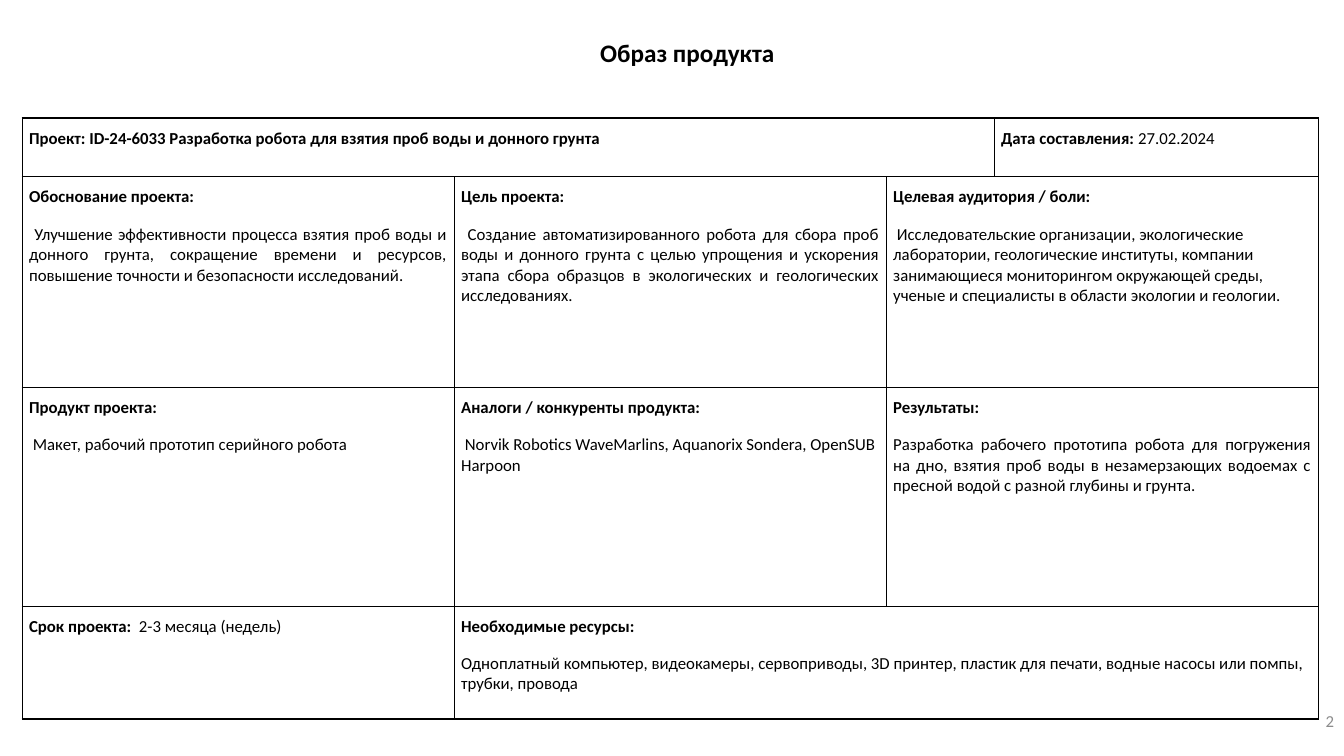
"""Build the product vision slide: a bordered project table with a title and page number."""
from lxml.etree import SubElement
from pptx import Presentation
from pptx.dml.color import RGBColor
from pptx.enum.text import MSO_ANCHOR, PP_ALIGN
from pptx.oxml.ns import qn
from pptx.util import Pt

BLACK = RGBColor(0x00, 0x00, 0x00)
GREY = RGBColor(0x8C, 0x8C, 0x8C)
FONT = "Calibri"
LEFT, JUSTIFY = PP_ALIGN.LEFT, PP_ALIGN.JUSTIFY

TITLE = "Образ продукта"
PAGE_NUMBER = "2"

# (row, first column, last column, heading, text after heading, body, body alignment)
SECTIONS = [
    (0, 0, 2, "Проект: ID-24-6033 Разработка робота для взятия проб воды и донного грунта", "", "", LEFT),
    (0, 3, 3, "Дата составления: ", "27.02.2024", "", LEFT),
    (1, 0, 0, "Обоснование проекта:", "",
     " Улучшение эффективности процесса взятия проб воды и донного грунта, "
     "сокращение времени и ресурсов, повышение точности и безопасности исследований.", JUSTIFY),
    (1, 1, 1, "Цель проекта:", "",
     " Создание автоматизированного робота для сбора проб воды и донного грунта "
     "с целью упрощения и ускорения этапа сбора образцов в экологических "
     "и геологических исследованиях.", JUSTIFY),
    (1, 2, 3, "Целевая аудитория / боли:", "",
     " Исследовательские организации, экологические лаборатории, геологические институты, "
     "компании занимающиеся мониторингом окружающей среды, ученые и специалисты "
     "в области экологии и геологии.", LEFT),
    (2, 0, 0, "Продукт проекта:", "", " Макет, рабочий прототип серийного робота", JUSTIFY),
    (2, 1, 1, "Аналоги / конкуренты продукта:", "",
     " Norvik Robotics WaveMarlins, Aquanorix Sondera, OpenSUB Harpoon", LEFT),
    (2, 2, 3, "Результаты:", "",
     "Разработка рабочего прототипа робота для погружения на дно, взятия проб воды "
     "в незамерзающих водоемах с пресной водой с разной глубины и грунта.", JUSTIFY),
    (3, 0, 0, "Срок проекта:  ", "2-3 месяца (недель)", "", LEFT),
    (3, 1, 3, "Необходимые ресурсы:", "",
     "Одноплатный компьютер, видеокамеры, сервоприводы, 3D принтер, пластик для печати, "
     "водные насосы или помпы, трубки, провода", LEFT),
]

TABLE_LEFT, TABLE_TOP, TABLE_WIDTH = 15.8, 84.3, 925.9
THIRD = TABLE_WIDTH / 3
COLUMN_WIDTHS = [THIRD, THIRD, THIRD / 4, THIRD * 3 / 4]
ROW_HEIGHTS = [42, 150.5, 156.2, 80.7]


def style(paragraph, size, color, bold=None, align=LEFT):
    paragraph.alignment = align
    paragraph.font.name = FONT
    paragraph.font.size = Pt(size)
    paragraph.font.color.rgb = color
    paragraph.font.bold = bold


def frame_cell(cell):
    cell.margin_left = cell.margin_right = Pt(5)
    cell.margin_top = cell.margin_bottom = Pt(7.2)
    properties = cell._tc.get_or_add_tcPr()
    for side in ("lnL", "lnR", "lnT", "lnB"):
        border = SubElement(properties, qn(f"a:{side}"), w=str(Pt(1)))
        fill = SubElement(border, qn("a:solidFill"))
        SubElement(fill, qn("a:srgbClr"), val=str(BLACK))
    cell.fill.background()


def write_section(cell, heading, detail, body, align):
    frame = cell.text_frame
    first = frame.paragraphs[0]
    style(first, 12, BLACK, None if detail else True)
    heading_run = first.add_run()
    heading_run.text = heading
    if detail:
        heading_run.font.bold = True
        detail_run = first.add_run()
        detail_run.text = detail
        detail_run.font.bold = False
    if body:
        second = frame.add_paragraph()
        second.text = body
        second.space_before = Pt(12)
        style(second, 12, BLACK, False, align)


def main():
    deck = Presentation()
    deck.slide_width, deck.slide_height = Pt(960), Pt(540)
    slide = deck.slides.add_slide(deck.slide_layouts[5])

    title = slide.shapes.title
    title.left, title.top, title.width, title.height = Pt(332), Pt(23), Pt(318), Pt(29)
    title.text_frame.text = TITLE
    title.text_frame.vertical_anchor = MSO_ANCHOR.TOP
    style(title.text_frame.paragraphs[0], 18, BLACK, True, PP_ALIGN.CENTER)

    table = slide.shapes.add_table(
        len(ROW_HEIGHTS), len(COLUMN_WIDTHS), Pt(TABLE_LEFT), Pt(TABLE_TOP),
        Pt(TABLE_WIDTH), Pt(sum(ROW_HEIGHTS))).table
    table.first_row = table.horz_banding = False
    for column, width in zip(table.columns, COLUMN_WIDTHS):
        column.width = Pt(width)
    for row, height in zip(table.rows, ROW_HEIGHTS):
        row.height = Pt(height)
    for cell in table.iter_cells():
        frame_cell(cell)
    for row, first, last, *content in SECTIONS:
        cell = table.cell(row, first)
        if last > first:
            cell.merge(table.cell(row, last))
        write_section(cell, *content)

    page = slide.shapes.add_textbox(Pt(744), Pt(500.5), Pt(216), Pt(28.8)).text_frame
    page.word_wrap = True
    page.vertical_anchor = MSO_ANCHOR.MIDDLE
    page.text = PAGE_NUMBER
    style(page.paragraphs[0], 12, GREY, align=PP_ALIGN.RIGHT)

    deck.save("out.pptx")


if __name__ == "__main__":
    main()
